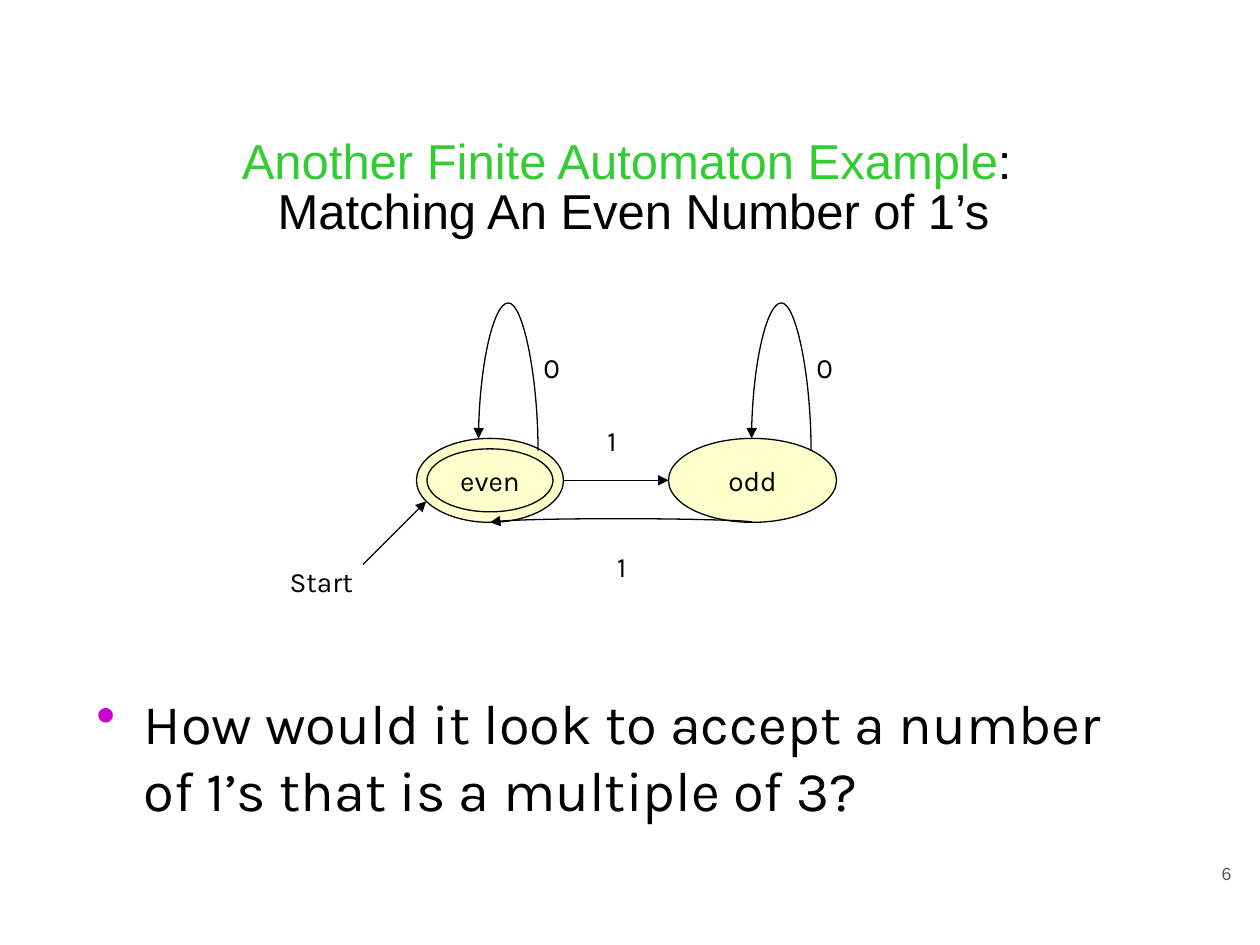
from lxml.etree import SubElement
from pptx import Presentation
from pptx.dml.color import RGBColor
from pptx.enum.shapes import MSO_CONNECTOR as Link, MSO_SHAPE
from pptx.enum.text import MSO_ANCHOR as Anchor, PP_ALIGN as Align
from pptx.oxml.ns import qn
from pptx.util import Pt

COLORS = {
    "ink": "000000",
    "heading": "33CC33",
    "state": "FFFF99",
    "bullet": "CC00CC",
    "number": "595959",
}

deck = Presentation()
deck.slide_width, deck.slide_height = Pt(720), Pt(540)
slide = deck.slides.add_slide(deck.slide_layouts[6])
shapes = slide.shapes


def write(shape, runs, size, font="Karla", align=Align.LEFT, anchor=Anchor.TOP):
    frame = shape.text_frame
    frame.word_wrap = True
    frame.vertical_anchor = anchor
    frame.margin_left = frame.margin_right = Pt(7.2)
    frame.margin_top = frame.margin_bottom = Pt(3.6)
    paragraph = frame.paragraphs[0]
    paragraph.alignment = align
    for text, color in runs:
        if text == "\n":
            paragraph.add_line_break()
            continue
        run = paragraph.add_run()
        run.text = text
        run.font.size = Pt(size)
        run.font.name = font
        run.font.color.rgb = RGBColor.from_string(COLORS[color])
    return paragraph


def arrow(kind, start_x, start_y, end_x, end_y, bend=None):
    link = shapes.add_connector(kind, Pt(start_x), Pt(start_y), Pt(end_x), Pt(end_y))
    link.line.color.rgb = RGBColor.from_string(COLORS["ink"])
    link.line.width = Pt(0.75)
    properties = link._element.spPr
    SubElement(properties.find(qn("a:ln")), qn("a:tailEnd"), type="triangle")
    SubElement(properties, qn("a:effectLst"))
    if bend is not None:
        properties.find(qn("a:xfrm")).set("rot", "5400000")
        adjustments = properties.find(qn("a:prstGeom")).find(qn("a:avLst"))
        SubElement(adjustments, qn("a:gd"), name="adj1", fmla=f"val {round(bend * 100000)}")


page_number = shapes.add_textbox(Pt(667.5), Pt(489.6), Pt(43.2), Pt(41))
write(page_number, [("6", "number")], 10, "Arial", Align.RIGHT)

title = shapes.add_textbox(Pt(29), Pt(63.4), Pt(666), Pt(90))
heading = write(
    title,
    [
        ("Another Finite Automaton Example", "heading"),
        (": ", "ink"),
        ("\n", "ink"),
        ("Matching An Even Number of 1’s", "ink"),
    ],
    28, "Arial", Align.CENTER, Anchor.MIDDLE,
)
heading.line_spacing = 0.85

state_top, state_height, ring_gap = 250.5, 48, 6
state_middle = state_top + state_height / 2
state_bottom = state_top + state_height
even_left, even_width = 238, 84
odd_left, odd_width = 382, 96
even_center = even_left + even_width / 2
odd_center = odd_left + odd_width / 2

ellipses = [
    ("even", even_left, even_width, 0),
    ("odd", odd_left, odd_width, 0),
    ("", even_left, even_width, ring_gap),
]
for name, left, width, inset in ellipses:
    state = shapes.add_shape(
        MSO_SHAPE.OVAL, Pt(left + inset), Pt(state_top + inset),
        Pt(width - 2 * inset), Pt(state_height - 2 * inset),
    )
    state.shadow.inherit = False
    state.line.color.rgb = RGBColor.from_string(COLORS["ink"])
    state.line.width = Pt(0.75)
    if name:
        state.fill.solid()
        state.fill.fore_color.rgb = RGBColor.from_string(COLORS["state"])
        tint = state._element.spPr.find(qn("a:solidFill"))[0]
        SubElement(tint, qn("a:alpha"), val="50000")
        write(state, [(name, "ink")], 16, align=Align.CENTER, anchor=Anchor.MIDDLE)
    else:
        state.fill.background()

arrow(Link.STRAIGHT, even_left + even_width, state_middle, odd_left, state_middle)
arrow(Link.STRAIGHT, 207.5, 322.5, 243.5, 286.5)

return_center = (even_center + odd_center) / 2
return_reach = (odd_center - even_center) / 2
arrow(Link.CURVE, return_center - 0.03, state_bottom - return_reach,
      return_center + 0.03, state_bottom + return_reach, -36.2)

loop_centers = [290.5, 446.5]
for center in loop_centers:
    arrow(Link.CURVE, center + 3.5, 237, center - 3.5, 271, 12.06)

labels = [("1", 340, 238.3, 28), ("1", 345.6, 310.3, 28), ("Start", 158.4, 319, 65)]
labels += [("0", center + 13, 196.5, 28) for center in loop_centers]
for text, left, top, width in labels:
    label = shapes.add_textbox(Pt(left), Pt(top), Pt(width), Pt(36.5))
    write(label, [(text, "ink")], 16)

question = shapes.add_textbox(Pt(48), Pt(390), Pt(612), Pt(96))
bullet = write(
    question,
    [("How would it look to accept a number of 1’s that is a multiple of 3?", "ink")],
    32,
)
bullet_format = bullet._p.get_or_add_pPr()
bullet_format.set("marL", str(Pt(27)))
bullet_format.set("indent", str(-Pt(27)))
bullet_color = SubElement(bullet_format, qn("a:buClr"))
SubElement(bullet_color, qn("a:srgbClr"), val=COLORS["bullet"])
SubElement(bullet_format, qn("a:buChar"), char="•")

deck.save("out.pptx")
